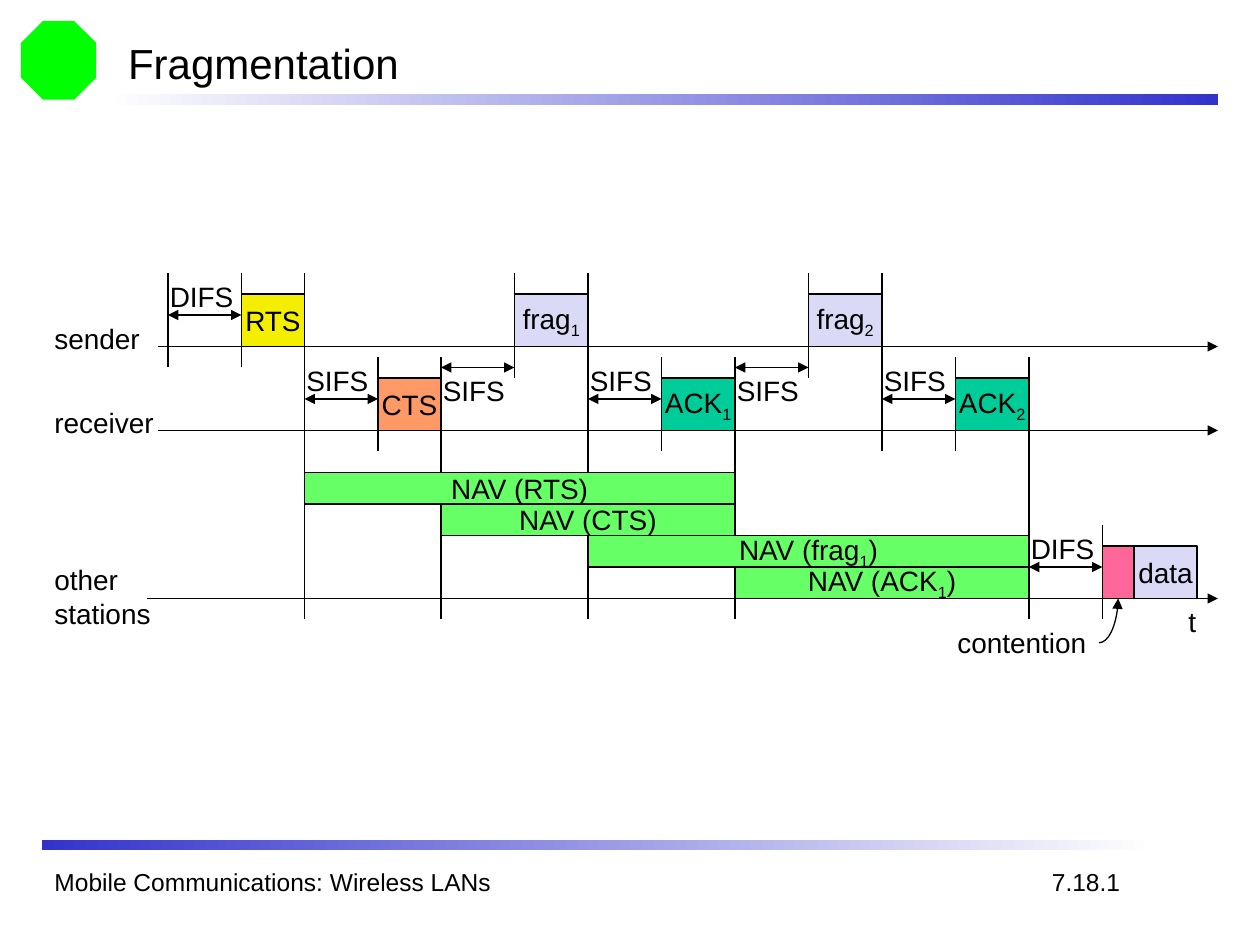
from dataclasses import dataclass

from lxml import etree
from pptx import Presentation
from pptx.dml.color import RGBColor
from pptx.enum.shapes import MSO_CONNECTOR, MSO_SHAPE
from pptx.enum.text import MSO_ANCHOR, MSO_AUTO_SIZE, PP_ALIGN
from pptx.oxml.ns import qn
from pptx.util import Pt

STRAIGHT, CURVE = MSO_CONNECTOR.STRAIGHT, MSO_CONNECTOR.CURVE
RECTANGLE, OCTAGON = MSO_SHAPE.RECTANGLE, MSO_SHAPE.OCTAGON
LEFT, CENTER = PP_ALIGN.LEFT, PP_ALIGN.CENTER
TOP, MIDDLE = MSO_ANCHOR.TOP, MSO_ANCHOR.MIDDLE
FIXED, GROW = MSO_AUTO_SIZE.NONE, MSO_AUTO_SIZE.SHAPE_TO_FIT_TEXT

COLORS = {
    "black": "000000", "white": "FFFFFF", "bar": "3333CC", "emblem": "00FF00",
    "rts": "F4EE00", "cts": "FF9966", "data": "DADAF6", "ack": "00CC99",
    "nav": "66FF66", "contention": "FF6699",
}
FONT = "Arial"
LINE_WIDTH = 0.75
LABEL_HEIGHT = 26.6
INTERVAL_LABEL_WIDTH = 52

# Time axes, all lengths in points
SENDER, RECEIVER, OTHERS = 198, 246, 342
AXIS_END = 696
FRAME_HEIGHT, NAV_HEIGHT = 30, 18


@dataclass
class Frame:
    text: str
    left: float
    right: float
    bottom: float
    color: str
    height: float = FRAME_HEIGHT


@dataclass
class Interval:
    text: str
    left: float
    right: float
    y: float
    label_below: bool = False


@dataclass
class Label:
    text: str
    left: float
    top: float
    width: float
    height: float = LABEL_HEIGHT
    size: float = 16


@dataclass
class Marker:
    x: float
    top: float
    bottom: float


MARKERS = [
    Marker(96, 156, 210), Marker(138, 156, 210), Marker(174, 156, 354),
    Marker(216, 204, 258), Marker(252, 204, 354), Marker(294, 156, 216),
    Marker(336, 156, 354), Marker(378, 204, 258), Marker(420, 204, 354),
    Marker(462, 156, 216), Marker(504, 156, 258), Marker(546, 204, 258),
    Marker(588, 204, 354), Marker(630, 300, 354),
]
FRAMES = [
    Frame("RTS", 138, 174, SENDER, "rts"),
    Frame("CTS", 216, 252, RECEIVER, "cts"),
    Frame("frag_1", 294, 336, SENDER, "data"),
    Frame("ACK_1", 378, 420, RECEIVER, "ack"),
    Frame("frag_2", 462, 504, SENDER, "data"),
    Frame("ACK_2", 546, 588, RECEIVER, "ack"),
    Frame("data", 648, 684, OTHERS, "data"),
    Frame("NAV (RTS)", 174, 420, OTHERS - 3 * NAV_HEIGHT, "nav", NAV_HEIGHT),
    Frame("NAV (CTS)", 252, 420, OTHERS - 2 * NAV_HEIGHT, "nav", NAV_HEIGHT),
    Frame("NAV (frag_1)", 336, 588, OTHERS - NAV_HEIGHT, "nav", NAV_HEIGHT),
    Frame("NAV (ACK_1)", 420, 588, OTHERS, "nav", NAV_HEIGHT),
]
INTERVALS = [
    Interval("DIFS", 96, 138, 180),
    Interval("SIFS", 174, 216, 228),
    Interval("SIFS", 252, 294, 210, label_below=True),
    Interval("SIFS", 336, 378, 228),
    Interval("SIFS", 420, 462, 210, label_below=True),
    Interval("SIFS", 504, 546, 228),
    Interval("DIFS", 588, 630, 324),
]
LABELS = [
    Label("sender", 24, 180, 65),
    Label("receiver", 24, 228, 73),
    Label("other\nstations", 24, 318, 72, 46),
    Label("t", 672, 342, 20),
    Label("Mobile Communications: Wireless LANs", 24, 492, 486, 24, 14),
    Label("7.18.1", 594, 492, 54, 24.5, 14),
]


def color(name: str) -> RGBColor:
    return RGBColor.from_string(COLORS[name])


def write_text(text_frame, text: str, *, size: float = 16, align=LEFT,
               anchor=TOP, auto_size=FIXED, wrap: bool = False) -> None:
    """Write one paragraph per line; the character after "_" is a subscript."""
    text_frame.word_wrap = wrap
    text_frame.auto_size = auto_size
    text_frame.vertical_anchor = anchor
    for index, line in enumerate(text.split("\n")):
        paragraph = text_frame.add_paragraph() if index else text_frame.paragraphs[0]
        paragraph.alignment = align
        base, _, rest = line.partition("_")
        for part, offset in ((base, None), (rest[:1], "-25000"), (rest[1:], None)):
            if not part:
                continue
            run = paragraph.add_run()
            run.text = part
            run.font.name, run.font.size = FONT, Pt(size)
            run.font.color.rgb = color("black")
            if offset:
                run.font._element.set("baseline", offset)


def add_label(slide, label: Label):
    shape = slide.shapes.add_textbox(
        Pt(label.left), Pt(label.top), Pt(label.width), Pt(label.height))
    write_text(shape.text_frame, label.text, size=label.size, auto_size=GROW)
    return shape


def add_frame(slide, frame: Frame):
    shape = slide.shapes.add_shape(
        RECTANGLE, Pt(frame.left), Pt(frame.bottom - frame.height),
        Pt(frame.right - frame.left), Pt(frame.height))
    shape.shadow.inherit = False
    shape.fill.solid()
    shape.fill.fore_color.rgb = color(frame.color)
    shape.line.color.rgb = color("black")
    shape.line.width = Pt(LINE_WIDTH)
    if frame.text:
        write_text(shape.text_frame, frame.text, align=CENTER, anchor=MIDDLE)
    return shape


def add_line(slide, x1: float, y1: float, x2: float, y2: float,
             arrows: tuple = (), kind=STRAIGHT):
    connector = slide.shapes.add_connector(kind, Pt(x1), Pt(y1), Pt(x2), Pt(y2))
    connector.line.color.rgb = color("black")
    connector.line.width = Pt(LINE_WIDTH)
    properties = connector._element.spPr
    for arrow in arrows:
        etree.SubElement(properties.find(qn("a:ln")), qn(f"a:{arrow}"), type="triangle")
    etree.SubElement(properties, qn("a:effectLst"))
    return connector


def add_bar(slide, left: float, top: float, start: str, end: str) -> None:
    shape = slide.shapes.add_shape(RECTANGLE, Pt(left), Pt(top), Pt(636), Pt(6))
    shape.shadow.inherit = False
    shape.line.fill.background()
    shape.fill.gradient()
    shape.fill.gradient_angle = 0
    for stop, name, position in zip(shape.fill.gradient_stops, (start, end), (0, 1)):
        stop.color.rgb = color(name)
        stop.position = position


def add_interval(slide, interval: Interval) -> None:
    add_line(slide, interval.left, interval.y, interval.right, interval.y,
             ("headEnd", "tailEnd"))
    top = interval.y if interval.label_below else interval.y - 24
    add_label(slide, Label(interval.text, interval.left - 6, top, INTERVAL_LABEL_WIDTH))


def main() -> None:
    presentation = Presentation()
    presentation.slide_width, presentation.slide_height = Pt(720), Pt(540)
    slide = presentation.slides.add_slide(presentation.slide_layouts[5])

    # Header and footer
    title = slide.shapes.title
    title.left, title.top, title.width, title.height = Pt(66), Pt(18), Pt(612), Pt(36)
    write_text(title.text_frame, "Fragmentation", size=24, anchor=MIDDLE, wrap=True)
    emblem = slide.shapes.add_shape(OCTAGON, Pt(12), Pt(12), Pt(43), Pt(45))
    emblem.shadow.inherit = False
    emblem.fill.solid()
    emblem.fill.fore_color.rgb = color("emblem")
    emblem.line.fill.background()
    add_bar(slide, 60, 54, "white", "bar")
    add_bar(slide, 24, 480, "bar", "white")

    # Timing diagram
    for marker in MARKERS:
        add_line(slide, marker.x, marker.bottom, marker.x, marker.top)
    for start, y in ((90, SENDER), (90, RECEIVER), (84, OTHERS)):
        add_line(slide, start, y, AXIS_END, y, ("tailEnd",))
    for frame in FRAMES:
        add_frame(slide, frame)
    for interval in INTERVALS:
        add_interval(slide, interval)
    for label in LABELS:
        add_label(slide, label)

    # Contention window and its pointer
    window = add_frame(slide, Frame("", 630, 648, OTHERS, "contention"))
    caption = add_label(slide, Label("contention", 540, 354, 88))
    pointer = add_line(slide, 628, 367.3, 639, OTHERS, ("tailEnd",), CURVE)
    pointer._element.spPr.find(qn("a:prstGeom")).set("prst", "curvedConnector2")
    pointer.begin_connect(caption, 3)
    pointer.end_connect(window, 2)

    presentation.save("out.pptx")


if __name__ == "__main__":
    main()
